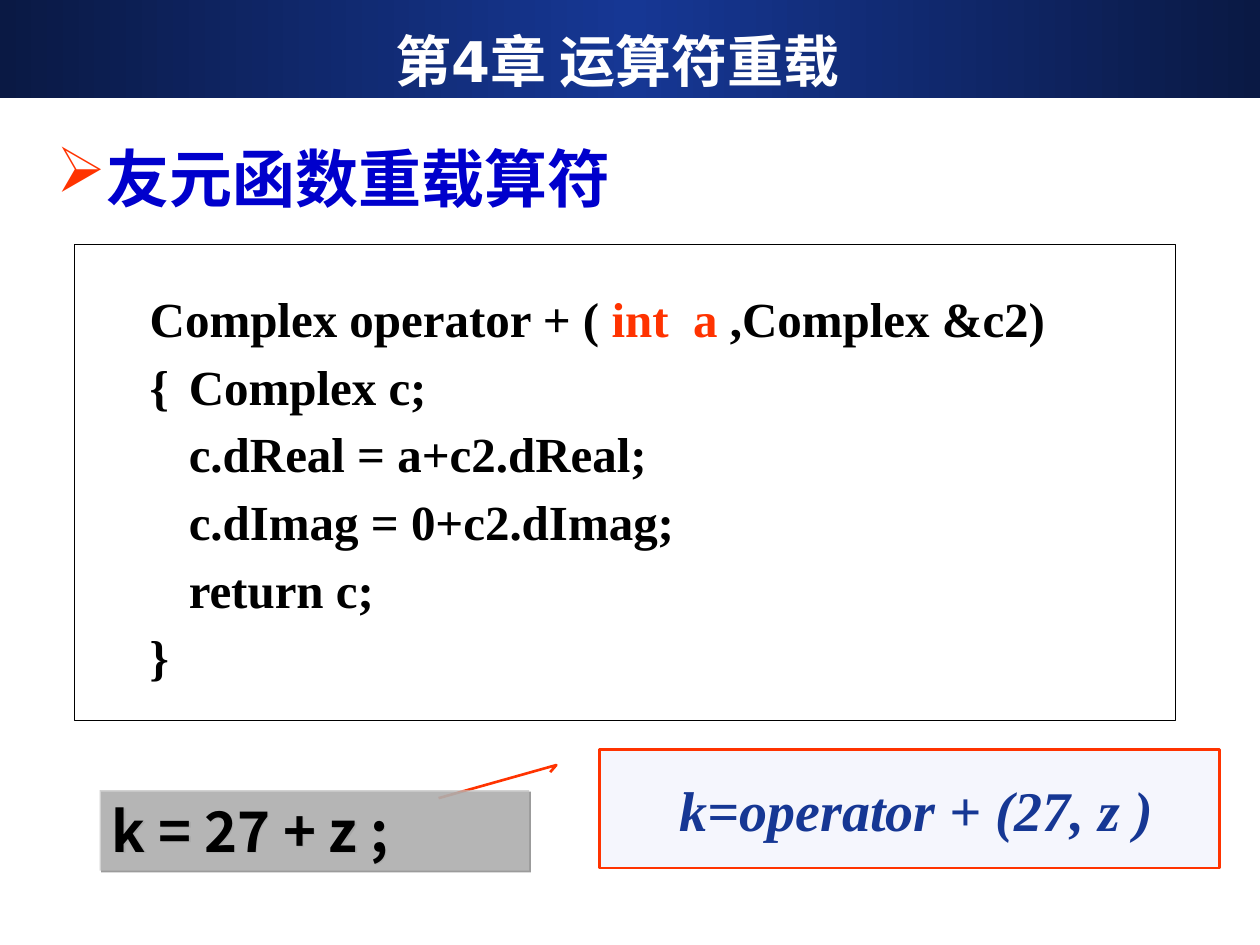
from dataclasses import dataclass

from lxml.etree import SubElement
from pptx import Presentation
from pptx.dml.color import RGBColor
from pptx.enum.shapes import MSO_SHAPE
from pptx.enum.text import MSO_ANCHOR, MSO_AUTO_SIZE, PP_ALIGN
from pptx.oxml import parse_xml
from pptx.oxml.ns import nsdecls, qn
from pptx.util import Inches, Pt

WIDTH, HEIGHT = Inches(10), Inches(7.5)
SERIF, SANS, CHINESE = "Times New Roman", "DejaVu Sans", "Noto Sans CJK SC"
BLACK, WHITE, RED = "000000", "FFFFFF", "FF3300"
NAVY, ROYAL, BLUE = "0A1944", "163794", "0000CC"
PALE, GREY, SHADE = "F5F6FD", "C0C0C0", "737373"


@dataclass(frozen=True)
class Frame:
    """Position and size as percentages of the slide."""
    left: float
    top: float
    width: float
    height: float

    def place(self, shape) -> None:
        shape.left, shape.width = (int(WIDTH * share / 100) for share in (self.left, self.width))
        shape.top, shape.height = (int(HEIGHT * share / 100) for share in (self.top, self.height))


@dataclass(frozen=True)
class Span:
    text: str
    color: str = BLACK


BANNER = Frame(0, 0, 100, 10.4)
TITLE = Frame(3.3, 2.27, 92.5, 8.27)
HEADING = Frame(3.5, 14.27, 61.7, 8.93)
CODE = Frame(5.9, 25.87, 87.4, 50.4)
CALLOUT = Frame(47.6, 79.33, 49.2, 12.53)
EXPRESSION = Frame(7.9, 83.6, 34.1, 8.53)

CALLOUT_POINTS = (0.19, -0.08, 0.13, -0.07, 0.41, -0.26)
CODE_LINES = [
    [Span("Complex operator + ( "), Span("int  a", RED), Span(" ,Complex &c2)")],
    [Span("{\tComplex c;")],
    [Span("\tc.dReal = a+c2.dReal;")],
    [Span("\tc.dImag = 0+c2.dImag;")],
    [Span("\treturn c;")],
    [Span("}")],
]


def rgb(color: str) -> RGBColor:
    return RGBColor.from_string(color)


def add_box(page, frame: Frame, kind=MSO_SHAPE.RECTANGLE, fill: str = "",
            line: str = "", line_width: float = 0.75):
    box = page.shapes.add_shape(kind, 0, 0, 0, 0)
    frame.place(box)
    box.shadow.inherit = False
    if fill:
        box.fill.solid()
        box.fill.fore_color.rgb = rgb(fill)
    else:
        box.fill.background()
    if line:
        box.line.color.rgb = rgb(line)
        box.line.width = Pt(line_width)
    else:
        box.line.fill.background()
    return box


def write(box, lines: list[list[Span]], *, size: float, font: str, italic: bool = False,
          align=PP_ALIGN.LEFT, anchor=MSO_ANCHOR.MIDDLE, wrap: bool = True,
          spacing: float = 1.0, before: float = 0, indent: float = 0,
          hanging: float = 0, bullet: str = "", bullet_color: str = RED) -> None:
    frame = box.text_frame
    frame.auto_size = MSO_AUTO_SIZE.NONE
    frame.word_wrap = wrap
    frame.vertical_anchor = anchor
    for number, spans in enumerate(lines):
        para = frame.add_paragraph() if number else frame.paragraphs[0]
        para.alignment = align
        para.line_spacing = spacing
        para.space_before = Pt(before)
        properties = para._p.get_or_add_pPr()
        properties.set("marL", str(Inches(indent)))
        properties.set("indent", str(-Inches(hanging)))
        if bullet:
            color = SubElement(properties, qn("a:buClr"))
            SubElement(color, qn("a:srgbClr"), val=bullet_color)
            SubElement(properties, qn("a:buChar"), char=bullet)
        for span in spans:
            run = para.add_run()
            run.text = span.text
            run.font.size = Pt(size)
            run.font.bold = True
            run.font.italic = italic
            run.font.color.rgb = rgb(span.color)
            run.font.name = font
            SubElement(run._r.get_or_add_rPr(), qn("a:ea"), typeface=CHINESE)


def add_banner(page) -> None:
    banner = add_box(page, BANNER)
    banner.fill.gradient()
    gradient = parse_xml(
        f'<a:gradFill {nsdecls("a")}><a:gsLst>'
        + "".join(f'<a:gs pos="{position * 1000}"><a:srgbClr val="{color}"/></a:gs>'
                  for position, color in ((0, NAVY), (50, ROYAL), (100, NAVY)))
        + '</a:gsLst><a:lin ang="0" scaled="0"/></a:gradFill>')
    properties = banner._element.spPr
    properties.replace(properties.find(qn("a:gradFill")), gradient)
    page.shapes._spTree.insert(2, banner._element)


def add_translucency_and_shadow(box, opacity: int, color: str) -> None:
    properties = box._element.spPr
    tint = properties.find(f'{qn("a:solidFill")}/{qn("a:srgbClr")}')
    SubElement(tint, qn("a:alpha"), val=str(opacity * 1000))
    shadow = SubElement(properties.find(qn("a:effectLst")), qn("a:outerShdw"),
                        dist=str(Pt(1.4)), dir=str(45 * 60000), algn="ctr", rotWithShape="0")
    SubElement(shadow, qn("a:srgbClr"), val=color)


def build() -> None:
    deck = Presentation()
    deck.slide_width, deck.slide_height = WIDTH, HEIGHT
    page = deck.slides.add_slide(deck.slide_layouts[5])

    add_banner(page)
    title = page.shapes.title
    TITLE.place(title)
    write(title, [[Span("第4章 运算符重载 ", WHITE)]], size=32, font=SANS, align=PP_ALIGN.CENTER)

    code = add_box(page, CODE, line=BLACK)
    write(code, CODE_LINES, size=28, font=SERIF, wrap=False,
          spacing=1.15, indent=0.81, hanging=0.31)

    callout = add_box(page, CALLOUT, MSO_SHAPE.LINE_CALLOUT_2, PALE, RED, 1.5)
    for index, value in enumerate(CALLOUT_POINTS):
        callout.adjustments[index] = value
    write(callout, [[Span(" k=operator + (27, z )", ROYAL)]], size=32, font=SERIF, italic=True,
          align=PP_ALIGN.CENTER, anchor=MSO_ANCHOR.TOP, spacing=1.3, before=20)

    expression = add_box(page, EXPRESSION, fill=GREY)
    add_translucency_and_shadow(expression, 71, SHADE)
    write(expression, [[Span("k = 27 + z ;")]], size=32, font=CHINESE,
          anchor=MSO_ANCHOR.TOP, wrap=False)

    heading = page.shapes.add_textbox(0, 0, 0, 0)
    HEADING.place(heading)
    write(heading, [[Span("友元函数重载算符", BLUE)]], size=36, font=CHINESE,
          before=9, indent=0.38, hanging=0.38, bullet="➢")

    deck.save("out.pptx")


if __name__ == "__main__":
    build()
